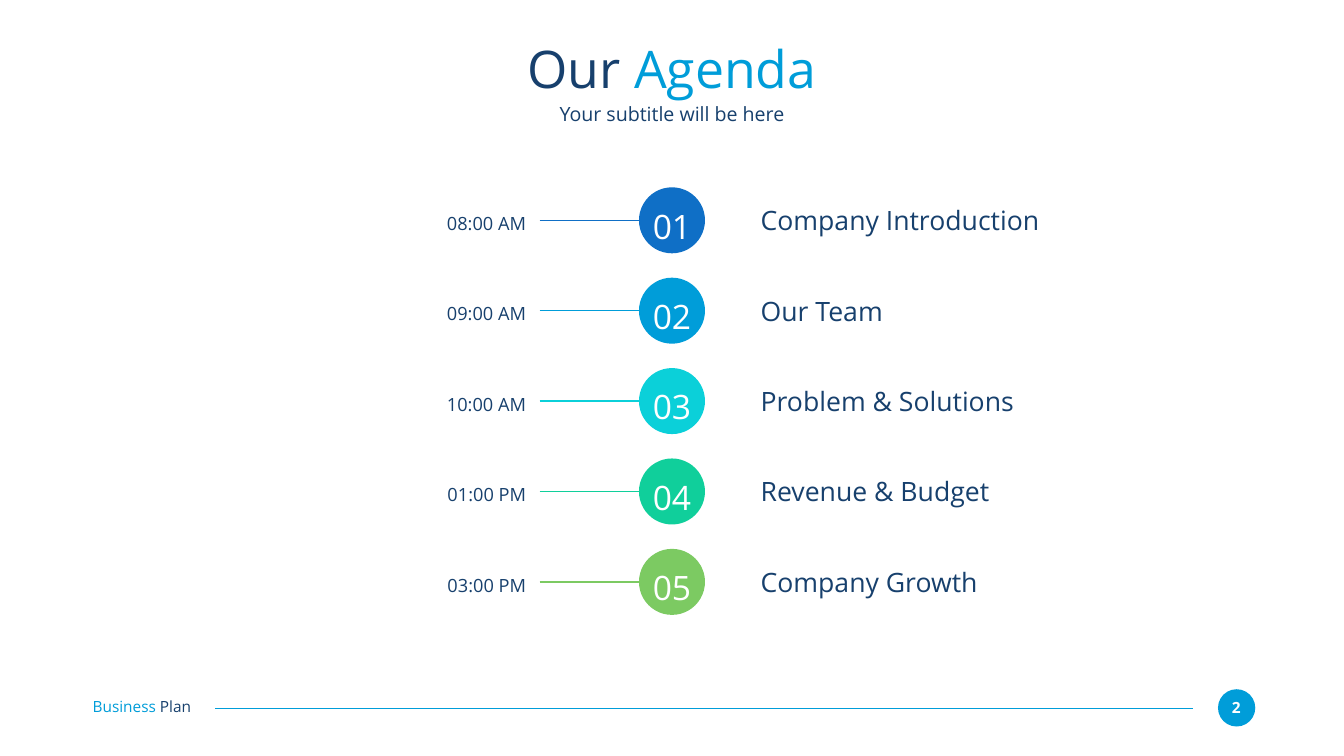
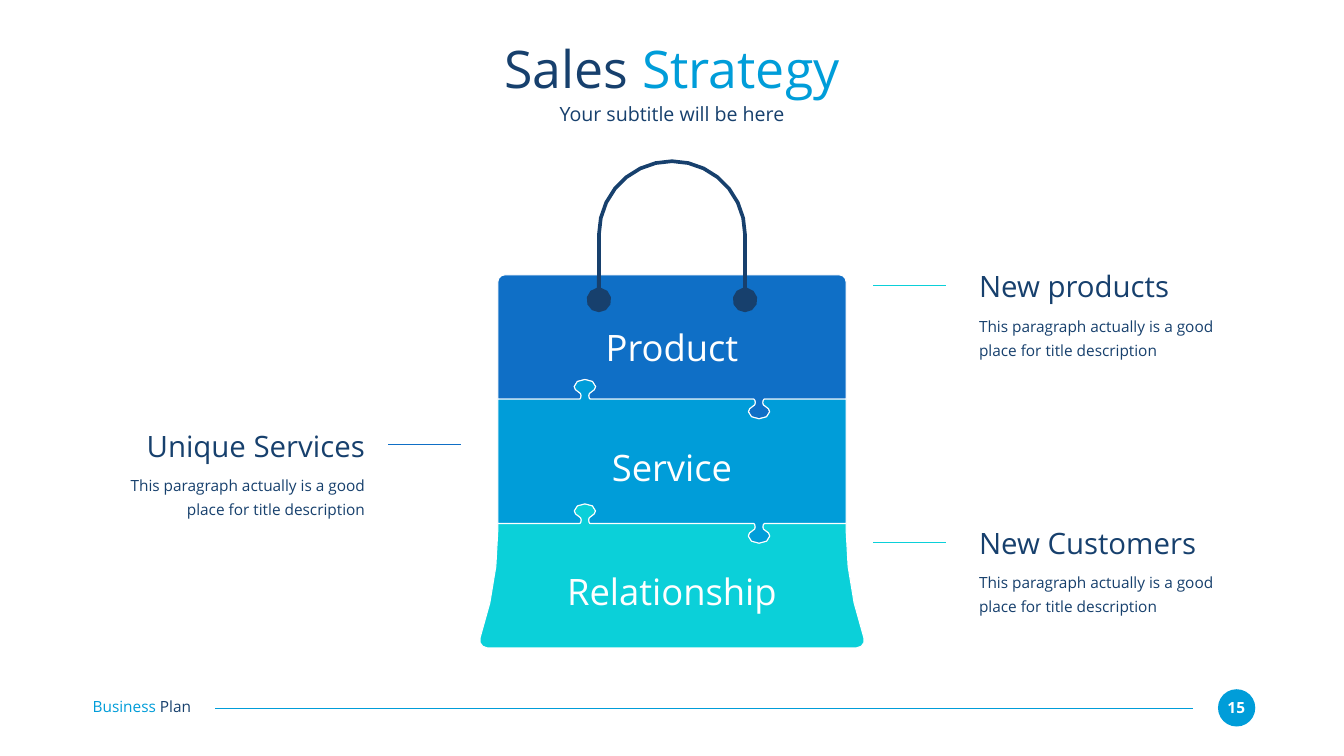
from dataclasses import dataclass
from math import cos, radians, sin
from typing import NamedTuple

from lxml.etree import SubElement
from pptx import Presentation
from pptx.dml.color import RGBColor
from pptx.enum.shapes import MSO_CONNECTOR as Connector, MSO_SHAPE as Preset
from pptx.enum.text import PP_ALIGN as Align
from pptx.oxml.ns import qn
from pptx.util import Emu, Inches, Pt

NAVY = RGBColor(0x17, 0x40, 0x6D)
BLUE = RGBColor(0x0F, 0x6F, 0xC6)
SKY = RGBColor(0x00, 0x9D, 0xD9)
TEAL = RGBColor(0x0B, 0xD0, 0xD9)
GREEN = RGBColor(0x10, 0xCF, 0x9B)
LIME = RGBColor(0x7C, 0xCA, 0x62)
WHITE = RGBColor(0xFF, 0xFF, 0xFF)

FONT = "Open Sans"
SLIDE_WIDTH, SLIDE_HEIGHT = Inches(26.67), Inches(15)
COLUMNS, ROWS = 160, 90
MARGIN = 11
MIDDLE = COLUMNS / 2

Point = tuple[float, float]


class Frame(NamedTuple):
    left: float
    top: float
    width: float
    height: float


class Span(NamedTuple):
    text: str
    color: RGBColor = NAVY


@dataclass(frozen=True)
class Style:
    size: int
    align: Align = Align.LEFT
    spacing: float | None = None
    bold: bool = False


@dataclass(frozen=True)
class AgendaItem:
    time: str
    topic: str
    color: RGBColor


@dataclass(frozen=True)
class Callout:
    heading: str
    row: float
    text_left: float
    line_left: float
    color: RGBColor
    align: Align


TITLE = Style(74, Align.CENTER)
SUBTITLE = Style(28, Align.CENTER)
FOOTER = Style(22)
PAGE_NUMBER = Style(22, Align.CENTER, bold=True)
ITEM_NUMBER = Style(48, Align.CENTER, 1.2)
ITEM_TIME = Style(26, Align.RIGHT, 1.3)
ITEM_TOPIC = Style(38)
BAND_LABEL = Style(52, Align.CENTER)

AGENDA = [
    AgendaItem("08:00 AM", "Company Introduction", BLUE),
    AgendaItem("09:00 AM", "Our Team", SKY),
    AgendaItem("10:00 AM", "Problem & Solutions", TEAL),
    AgendaItem("01:00 PM", "Revenue & Budget", GREEN),
    AgendaItem("03:00 PM", "Company Growth", LIME),
]
AGENDA_TOP, AGENDA_STEP = 22.3, 10.76
DISC_SIZE = 7.86

CALLOUT_WIDTH = 32.45
RIGHT_TEXT = COLUMNS - MARGIN - CALLOUT_WIDTH
CALLOUTS = [
    Callout("Unique Services", 52.95, MARGIN, 46.2, BLUE, Align.RIGHT),
    Callout("New Customers", 64.55, RIGHT_TEXT, 103.95, TEAL, Align.LEFT),
    Callout("New products", 34, RIGHT_TEXT, 103.95, TEAL, Align.LEFT),
]
CALLOUT_LINE = 8.65
CALLOUT_TEXT = "This paragraph actually is a good place for title description"

BAG_TOP, BAND_HEIGHT, BAG_HALF = 32.72, 14.8, 20.73
CORNER = 0.84
UPPER_SEAM, LOWER_SEAM, BAG_BOTTOM = (BAG_TOP + BAND_HEIGHT * n for n in (1, 2, 3))
BAND_LABELS = [("Product", 38.7), ("Service", 53), ("Relationship", 67.7)]
KNOB_CURVES = [
    [(0.62, 0), (0.55, 0), (0.45, 0.2), (0.45, 0.42)],
    [(0.45, 0.42), (0.45, 0.6), (0.55, 0.78), (0.74, 0.84)],
    [(0.74, 0.84), (1.05, 1), (1.27, 1.25), (1.27, 1.5)],
    [(1.27, 1.5), (1.27, 1.98), (0.7, 2.34), (0, 2.34)],
]
FLARE_CURVES = [
    [(BAG_HALF, 63.1), (BAG_HALF, 67.45), (21.45, 71.85), (22.85, 75.95)],
    [(22.85, 75.95), (23.05, 76.5), (22.6, BAG_BOTTOM), (22, BAG_BOTTOM)],
]
ARCH_ROW, ARCH_OUTER, ARCH_INNER = 27.88, 8.91, 8.47
RING_COLUMN, RING_ROW, RING_RADIUS = 8.7, 35.7, 1.47


def col(count: float) -> Emu:
    return Emu(round(SLIDE_WIDTH * count / COLUMNS))


def row(count: float) -> Emu:
    return Emu(round(SLIDE_HEIGHT * count / ROWS))


def place(frame: Frame) -> tuple[Emu, Emu, Emu, Emu]:
    return col(frame.left), row(frame.top), col(frame.width), row(frame.height)


def add_text(slide, frame: Frame, style: Style, *spans: Span) -> None:
    box = slide.shapes.add_textbox(*place(frame))
    text = box.text_frame
    text.word_wrap = True
    text.margin_left = text.margin_top = text.margin_right = text.margin_bottom = 0
    para = text.paragraphs[0]
    para.alignment = style.align
    if style.spacing:
        para.line_spacing = style.spacing
    for span in spans:
        run = para.add_run()
        run.text = span.text
        run.font.name = FONT
        run.font.size = Pt(style.size)
        run.font.bold = style.bold
        run.font.color.rgb = span.color


def paint(shape, fill: RGBColor, outline: RGBColor | None = None) -> None:
    shape.shadow.inherit = False
    shape.fill.solid()
    shape.fill.fore_color.rgb = fill
    if outline is None:
        shape.line.fill.background()
    else:
        shape.line.color.rgb = outline
        shape.line.width = Pt(1.5)


def add_disc(slide, left: float, top: float, size: float, color: RGBColor) -> None:
    frame = Frame(left, top, size, size)
    paint(slide.shapes.add_shape(Preset.OVAL, *place(frame)), color)


def add_rule(slide, left: float, right: float, level: float,
             color: RGBColor, weight: float = 1.5) -> None:
    rule = slide.shapes.add_connector(
        Connector.STRAIGHT, col(left), row(level), col(right), row(level))
    rule.line.color.rgb = color
    rule.line.width = Pt(weight)
    SubElement(rule._element.spPr, qn("a:effectLst"))


def add_outline(slide, points: list[Point], fill: RGBColor,
                outline: RGBColor | None = None) -> None:
    corners = [(col(MIDDLE + x), row(y)) for x, y in points]
    builder = slide.shapes.build_freeform(*corners[0], scale=1.0)
    builder.add_line_segments(corners[1:], close=True)
    paint(builder.convert_to_shape(), fill, outline)


def bezier(curve: list[Point], steps: int) -> list[Point]:
    points = []
    for step in range(1, steps + 1):
        t = step / steps
        weights = ((1 - t) ** 3, 3 * t * (1 - t) ** 2, 3 * t * t * (1 - t), t ** 3)
        points.append((sum(w * p[0] for w, p in zip(weights, curve)),
                       sum(w * p[1] for w, p in zip(weights, curve))))
    return points


def arc(x: float, y: float, radius: float, start: float, end: float,
        steps: int) -> list[Point]:
    angles = [radians(start + (end - start) * n / steps) for n in range(steps + 1)]
    return [(x + radius * cos(a), y + radius * sin(a)) for a in angles]


def mirrored(points: list[Point]) -> list[Point]:
    return [(-x, y) for x, y in reversed(points)]


def chain(curves: list[list[Point]], steps: int) -> list[Point]:
    return curves[0][:1] + [point for curve in curves for point in bezier(curve, steps)]


def knob(x: float, level: float, direction: int) -> list[Point]:
    half = chain(KNOB_CURVES, 2)
    profile = [(-dx, dy) for dx, dy in half] + half[-2::-1]
    return [(x + dx, level + direction * dy) for dx, dy in profile]


def seam(level: float) -> list[Point]:
    return [(-BAG_HALF, level), *knob(-BAG_HALF / 2, level, -1),
            *knob(BAG_HALF / 2, level, 1), (BAG_HALF, level)]


def add_bag(slide) -> None:
    flare = chain(FLARE_CURVES, 3)
    add_outline(slide, seam(LOWER_SEAM) + flare + mirrored(flare), TEAL, WHITE)

    corner = arc(BAG_HALF - CORNER, BAG_TOP + CORNER, CORNER, 270, 360, 3)
    add_outline(slide, mirrored(corner) + corner + seam(UPPER_SEAM)[::-1], BLUE, WHITE)
    add_outline(slide, seam(UPPER_SEAM) + seam(LOWER_SEAM)[::-1], SKY, WHITE)

    right_ring, left_ring = (
        arc(x, RING_ROW, RING_RADIUS, -81, 261, 10) for x in (RING_COLUMN, -RING_COLUMN))
    handle = (arc(0, ARCH_ROW, ARCH_OUTER, 180, 360, 14) + right_ring
              + arc(0, ARCH_ROW, ARCH_INNER, 360, 180, 14) + left_ring)
    add_outline(slide, handle, NAVY)

    for label, top in BAND_LABELS:
        add_text(slide, Frame(64.2, top, 31.6, 5.3), BAND_LABEL, Span(label, WHITE))


def add_page(deck, number: int, lead: str, accent: str):
    page = deck.slides.add_slide(deck.slide_layouts[6])
    add_disc(page, 145, 82.05, 4.44, SKY)
    add_text(page, Frame(145.4, 83.1, 3.55, 2.2), PAGE_NUMBER, Span(str(number), WHITE))
    add_rule(page, 25.6, 142, 84.3, SKY)
    add_text(page, Frame(MARGIN + 0.03, 83, 15.5, 2.2), FOOTER,
             Span("Business ", SKY), Span("Plan"))
    width = COLUMNS - 2 * MARGIN
    add_text(page, Frame(MARGIN, 4.4, width, 7.6), TITLE, Span(lead), Span(accent, SKY))
    add_text(page, Frame(MARGIN, 12.15, width, 2.95), SUBTITLE,
             Span("Your subtitle will be here"))
    return page


def add_agenda_item(page, index: int, item: AgendaItem) -> None:
    top = AGENDA_TOP + index * AGENDA_STEP
    left = MIDDLE - DISC_SIZE / 2
    add_disc(page, left, top, DISC_SIZE, item.color)
    add_rule(page, 64.25, left, top + DISC_SIZE / 2, item.color, 2.25)
    add_text(page, Frame(76.92, top + 1.22, 6.16, 5.8), ITEM_NUMBER,
             Span(f"{index + 1:02}", WHITE))
    add_text(page, Frame(41.4, top + 2.2, 21.24, 3.2), ITEM_TIME, Span(item.time))
    add_text(page, Frame(90.55, top + 2, 37.75, 3.85), ITEM_TOPIC, Span(item.topic))


def add_callout(page, note: Callout) -> None:
    add_rule(page, note.line_left, note.line_left + CALLOUT_LINE, note.row, note.color)
    add_text(page, Frame(note.text_left, note.row - 2.03, CALLOUT_WIDTH, 4.25),
             Style(42, note.align), Span(note.heading))
    add_text(page, Frame(note.text_left, note.row + 3.07, CALLOUT_WIDTH, 5.5),
             Style(22, note.align, 1.3), Span(CALLOUT_TEXT))


def main() -> None:
    deck = Presentation()
    deck.slide_width, deck.slide_height = SLIDE_WIDTH, SLIDE_HEIGHT

    agenda = add_page(deck, 2, "Our ", "Agenda")
    for index, item in enumerate(AGENDA):
        add_agenda_item(agenda, index, item)

    strategy = add_page(deck, 15, "Sales ", "Strategy")
    add_bag(strategy)
    for note in CALLOUTS:
        add_callout(strategy, note)

    deck.save("out.pptx")


if __name__ == "__main__":
    main()
